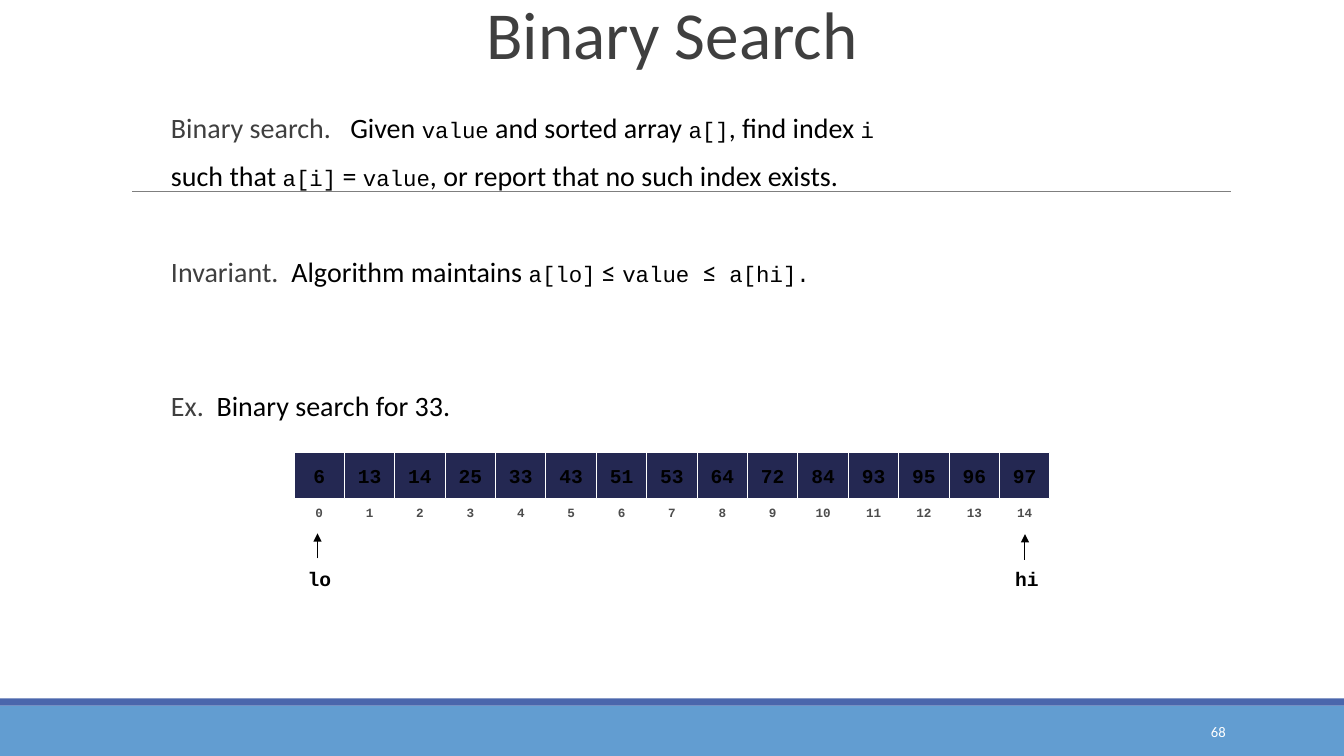
from lxml import etree
from pptx import Presentation, util as u
from pptx.dml.color import RGBColor
from pptx.enum import shapes, text
from pptx.oxml import ns

COLOURS = {
    "footer": "629DD1", "stripe": "4A66AC", "rule": "7F7F7F",
    "cell": "242852", "index": "4D4D4D", "heading": "3F3F3F",
    "black": "000000", "white": "FFFFFF",
}
FORMATS = {
    "title": {"name": "Calibri", "size": u.Pt(48), "color": "heading"},
    "term": {"name": "Calibri", "size": u.Pt(20), "color": "heading"},
    "plain": {"name": "Calibri", "size": u.Pt(20), "color": "black"},
    "code": {"name": "Courier New", "size": u.Pt(16), "color": "black"},
    "value": {"name": "Courier New", "size": u.Pt(14), "bold": True, "color": "black"},
    "index": {"name": "Courier New", "size": u.Pt(9), "bold": True, "color": "index"},
    "number": {"name": "Calibri", "size": u.Pt(10.5), "color": "white"},
}
ALIGN = text.PP_ALIGN
MIDDLE = text.MSO_ANCHOR.MIDDLE


def rgb(colour):
    return RGBColor.from_string(COLOURS[colour])


def add_span(para, words, style):
    """Append a run to the paragraph in one of the named formats."""
    span = para.add_run()
    span.text = words
    for key, value in FORMATS[style].items():
        if key == "color":
            span.font.color.rgb = rgb(value)
        else:
            setattr(span.font, key, value)


deck = Presentation()
deck.slide_width, deck.slide_height = u.Cm(33.87), u.Cm(19.05)
page = deck.slides.add_slide(deck.slide_layouts[6])

# Footer bands
for colour, top, height in (("footer", 17.78, 1.27), ("stripe", 17.6, 0.18)):
    band = page.shapes.add_shape(
        shapes.MSO_SHAPE.RECTANGLE, 0, u.Cm(top), deck.slide_width, u.Cm(height))
    band.shadow.inherit = False
    band.fill.solid()
    band.fill.fore_color.rgb = rgb(colour)
    band.line.fill.background()

# Array: a row of indices below a row of values
values = [6, 13, 14, 25, 33, 43, 51, 53, 64, 72, 84, 93, 95, 96, 97]
array_left, cell_width = 7.41, 1.27
rows = (
    ("index", range(len(values)), 12.65, 0.53, None),
    ("value", values, 11.4, 1.17, "cell"),
)
for style, entries, top, height, fill in rows:
    for column, entry in enumerate(entries):
        cell = page.shapes.add_shape(
            shapes.MSO_SHAPE.RECTANGLE, u.Cm(array_left + column * cell_width),
            u.Cm(top), u.Cm(cell_width), u.Cm(height))
        cell.shadow.inherit = False
        if fill:
            cell.fill.solid()
            cell.fill.fore_color.rgb = rgb(fill)
        else:
            cell.fill.background()
        cell.line.color.rgb = rgb("white")
        cell.line.width = u.Pt(0.75)
        cell.text_frame.vertical_anchor = MIDDLE
        para = cell.text_frame.paragraphs[0]
        para.alignment = ALIGN.CENTER
        add_span(para, str(entry), style)

# Heading rule and the two pointer arrows
lines = (
    ("rule", 3.33, 4.83, 31.01, 4.83, False),
    ("black", 8.0, 14.07, 8.0, 13.44, True),
    ("black", 25.83, 14.1, 25.83, 13.46, True),
)
for colour, x1, y1, x2, y2, arrow in lines:
    line = page.shapes.add_connector(
        shapes.MSO_CONNECTOR.STRAIGHT, u.Cm(x1), u.Cm(y1), u.Cm(x2), u.Cm(y2))
    line.line.color.rgb = rgb(colour)
    line.line.width = u.Pt(0.75)
    if arrow:
        etree.SubElement(line.line._get_or_add_ln(), ns.qn("a:tailEnd"), type="triangle")
    etree.SubElement(line._element.spPr, ns.qn("a:effectLst"))

# One-line texts
labels = (
    ("Binary Search", "title", 0, 0.43, 33.87, 1.27, ALIGN.CENTER, MIDDLE, 0.7),
    ("lo", "value", 7.49, 14.17, 1.12, 0.86, ALIGN.CENTER, text.MSO_ANCHOR.TOP, 1.0),
    ("hi", "value", 25.32, 14.17, 1.12, 0.86, ALIGN.CENTER, text.MSO_ANCHOR.TOP, 1.0),
    ("68", "number", 27.51, 17.93, 3.63, 1.02, ALIGN.RIGHT, MIDDLE, 1.0),
)
for words, style, left, top, width, height, alignment, anchor, spacing in labels:
    box = page.shapes.add_textbox(u.Cm(left), u.Cm(top), u.Cm(width), u.Cm(height))
    box.text_frame.word_wrap = True
    box.text_frame.vertical_anchor = anchor
    para = box.text_frame.paragraphs[0]
    para.alignment = alignment
    para.line_spacing = spacing
    add_span(para, words, style)

# Body: space before in points, then the spans; None breaks the line
statements = (
    (0, (("Binary search.   ", "term"), ("Given ", "plain"), ("value", "code"),
         (" and sorted array ", "plain"), ("a[]", "code"),
         (", find index ", "plain"), ("i", "code"), None,
         ("such that ", "plain"), ("a[i]", "code"), (" = ", "plain"),
         ("value", "code"), (", or report that no such index exists.", "plain"))),
    (34.5, (("Invariant.  ", "term"), ("Algorithm maintains ", "plain"),
            ("a[lo]", "code"), (" ≤ ", "plain"), ("value ", "code"),
            ("≤  ", "plain"), ("a[hi].", "code"))),
    (62, (("Ex.  ", "term"), ("Binary search for 33.", "plain"))),
)
body = page.shapes.add_textbox(u.Cm(4.06), u.Cm(2.31), u.Cm(29.06), u.Cm(15.04))
body.text_frame.word_wrap = True
for number, (space, spans) in enumerate(statements):
    para = body.text_frame.add_paragraph() if number else body.text_frame.paragraphs[0]
    para.line_spacing = 1.42
    para.space_before = u.Pt(space)
    for span in spans:
        if span:
            add_span(para, *span)
        else:
            para.add_line_break()

deck.save("out.pptx")
